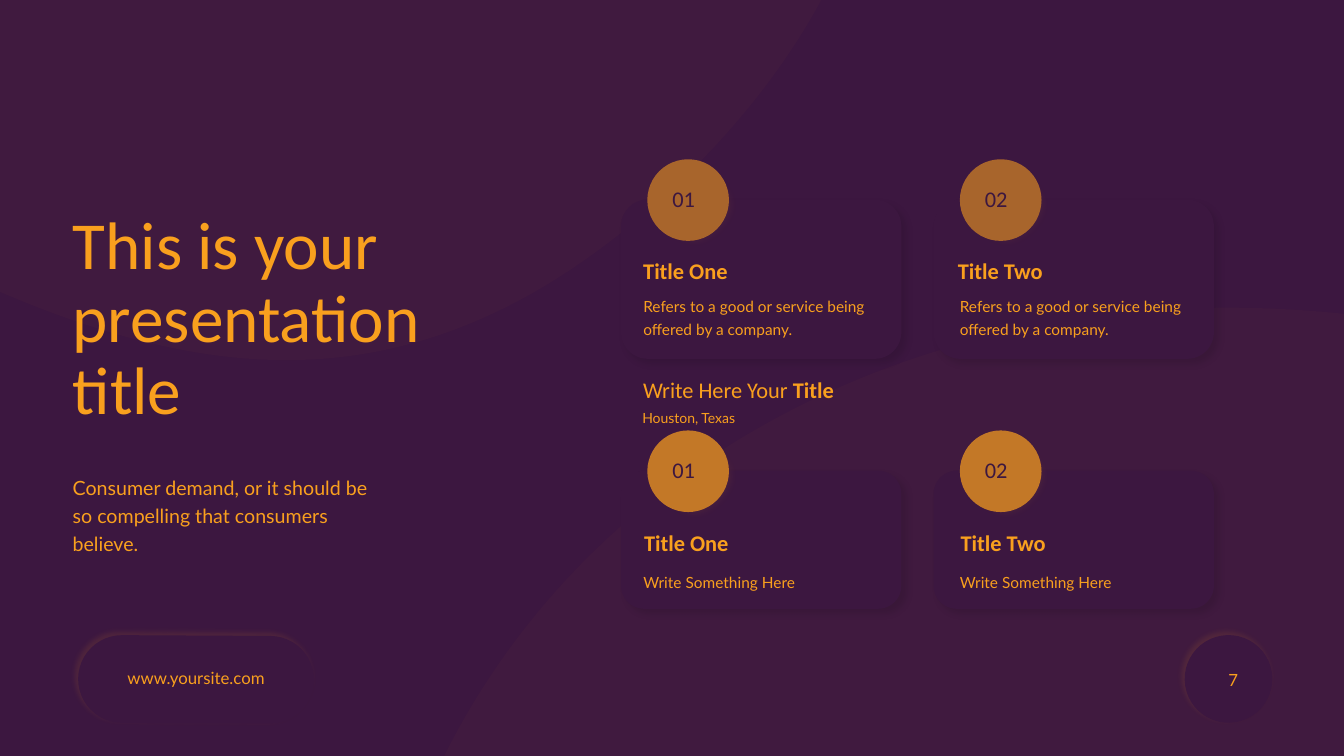
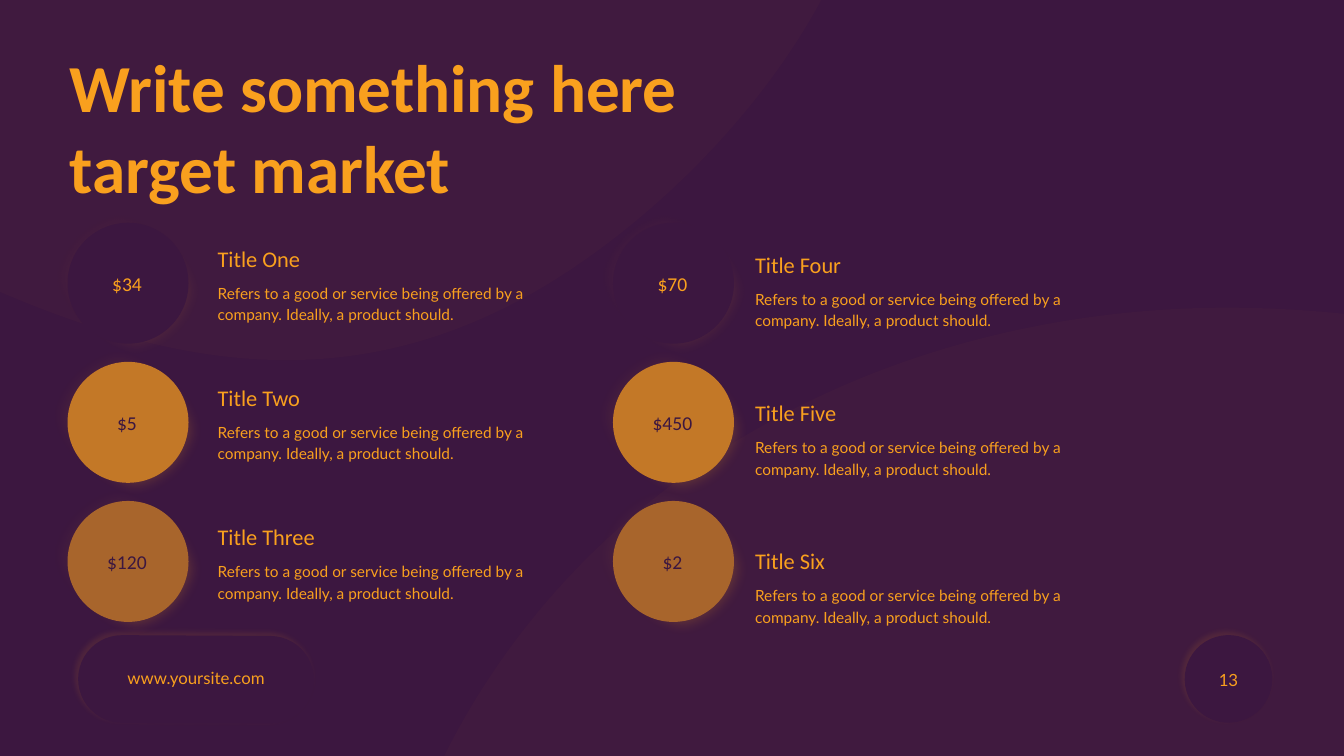
from lxml import etree
from pptx import Presentation
from pptx.dml.color import RGBColor
from pptx.enum import shapes, text
from pptx.oxml import ns
from pptx.util import Inches, Pt

PLUM = RGBColor(0x3C, 0x17, 0x40)
GOLD = RGBColor(0xF9, 0xA0, 0x1E)
AMBER = RGBColor(0xC3, 0x78, 0x27)
RUST = RGBColor(0xA8, 0x65, 0x2C)
BLACK = RGBColor(0, 0, 0)
HEAD, BODY = "Calibri", "Lato"
OVAL = shapes.MSO_SHAPE.OVAL
ROUND = shapes.MSO_SHAPE.ROUNDED_RECTANGLE
LEFT, MID, RIGHT = text.PP_ALIGN.LEFT, text.PP_ALIGN.CENTER, text.PP_ALIGN.RIGHT
NONE, WIDE, SLIM = (0, 0), (0.1, 0.05), (0.09, 0.04)

TOP_WAVE = [
    (8.52, -2.22),
    (9.06, -0.6), (7.17, 1.84), (5.26, 2.92),
    (3.34, 3.99), (1.41, 3.72), (-1.24, 2.29),
    (-3.9, 0.88), (-7.27, -1.7), (-6.83, -3.2),
    (-6.41, -4.7), (-2.16, -5.1), (1.44, -4.9),
    (5.04, -4.68), (7.99, -3.85), (8.52, -2.22),
]
LOW_WAVE = [
    (19.8, 6.97),
    (20.57, 9.45), (18.28, 12.8), (15.15, 15.1),
    (12.02, 17.4), (8.06, 18.62), (5.77, 17.07),
    (3.5, 15.52), (2.92, 11.2), (4.13, 8.12),
    (5.34, 5.04), (8.36, 3.2), (11.78, 3.06),
    (15.2, 2.93), (19.04, 4.51), (19.8, 6.97),
]


def box(*sizes):
    """Turn inches into lengths."""
    return [Inches(n) for n in sizes]


def add(node, name, **attrs):
    """Append a drawing element with attributes."""
    child = etree.SubElement(node, ns.qn("a:" + name))
    for key, val in attrs.items():
        child.set(key, str(val))
    return child


def paint(shape, color, alpha=100):
    """Give a shape a flat fill with no line or shadow."""
    shape.fill.solid()
    shape.fill.fore_color.rgb = color
    shape.line.fill.background()
    shape.shadow.inherit = False
    if alpha < 100:
        hue = shape.element.spPr.find(".//" + ns.qn("a:srgbClr"))
        add(hue, "alpha", val=alpha * 1000)
    return shape


def effect(shape, name, **attrs):
    """Add one effect to a painted shape."""
    return add(shape.element.spPr.find(ns.qn("a:effectLst")), name, **attrs)


def shade(shape, color, blur, dist, angle):
    """Cast a faint outer shadow."""
    node = effect(shape, "outerShdw", blurRad=Pt(blur), dist=Pt(dist),
                  dir=angle * 60000, algn="ctr", rotWithShape=0)
    add(add(node, "srgbClr", val=color), "alpha", val=10000)


def panel(slide, x, y, w, h, curve=None):
    """Draw a rounded plum panel."""
    plate = paint(slide.shapes.add_shape(ROUND, *box(x, y, w, h)), PLUM)
    if curve:
        plate.adjustments[0] = curve
    return plate


def disc(slide, x, y, size, color, alpha=100):
    """Draw a circle, soft at the edge when see-through."""
    dot = slide.shapes.add_shape(OVAL, *box(x, y, size, size))
    paint(dot, color, alpha)
    if alpha < 100:
        effect(dot, "softEdge", rad=Pt(10))
    return dot


def style(run, size, font, color, bold):
    """Set the look of a run."""
    run.font.size, run.font.name = Pt(size), font
    run.font.color.rgb, run.font.bold = color, bold


def write(shape, words, size, font=HEAD, color=GOLD, bold=False, align=LEFT,
          lead=None, inset=WIDE, wrap=True, anchor=text.MSO_ANCHOR.TOP):
    """Fill a shape with text in one style."""
    frame = shape.text_frame
    frame.text = words
    frame.word_wrap = wrap
    frame.auto_size = text.MSO_AUTO_SIZE.NONE
    frame.vertical_anchor = anchor
    frame.margin_left = frame.margin_right = Inches(inset[0])
    frame.margin_top = frame.margin_bottom = Inches(inset[1])
    for para in frame.paragraphs:
        para.alignment = align
        para.space_before = Pt(0)
        if lead:
            para.line_spacing = lead
        for run in para.runs:
            style(run, size, font, color, bold)
    return frame


def label(slide, x, y, w, h, words, size, **look):
    """Add a text box."""
    return write(slide.shapes.add_textbox(*box(x, y, w, h)), words, size, **look)


def place(shape, x, y, w, h):
    """Move a placeholder."""
    shape.left, shape.top, shape.width, shape.height = box(x, y, w, h)
    return shape


def wave(slide, x, y, w, h, pts):
    """Draw a closed outline of cubic curves within a box."""
    pen = slide.shapes.build_freeform(*box(x, y))
    pen.add_line_segments([box(x + w, y + h)], close=True)
    shape = pen.convert_to_shape()
    trace = shape.element.spPr.find(".//" + ns.qn("a:path"))
    for old in list(trace):
        trace.remove(old)
    spots = [box(a - x, b - y) for a, b in pts]
    add(add(trace, "moveTo"), "pt", x=spots[0][0], y=spots[0][1])
    for i in range(1, len(spots), 3):
        curve = add(trace, "cubicBezTo")
        for a, b in spots[i:i + 3]:
            add(curve, "pt", x=a, y=b)
    add(trace, "close")
    paint(shape, AMBER, 3)


def dress(deck, slide):
    """Put the waves and the footer on the master."""
    master = deck.slide_master
    master.background.fill.solid()
    master.background.fill.fore_color.rgb = PLUM
    kept = len(slide.shapes)
    wave(slide, -6.88, -4.95, 15.49, 8.52, TOP_WAVE)
    wave(slide, 3.51, 3.05, 16.43, 14.71, LOW_WAVE)
    ring = disc(slide, 11.75, 6.3, 0.87, PLUM)
    ring.rotation = 245.8
    pill = panel(slide, 1.51, 5.57, 0.87, 2.34, 0.5)
    pill.rotation = 270.3
    for shape in (ring, pill):
        shade(shape, GOLD, 4, 3, 225)
    label(slide, 1.15, 6.58, 1.59, 0.3, "www.yoursite.com", 12, font=BODY,
          align=MID, wrap=False)
    for i, part in enumerate(list(slide.shapes)[kept:]):
        part.element.xpath(".//p:cNvPr")[0].set("id", str(100 + i))
        master.shapes.element.append(part.element)


def number(slide, words):
    """Write the page number in the footer circle."""
    label(slide, 9.38, 6.54, 3, 0.4, words, 12, font=BODY, align=RIGHT,
          anchor=text.MSO_ANCHOR.MIDDLE)


def card(slide, x, y, h, color, num):
    """Draw a card with a numbered circle on its top edge."""
    shade(panel(slide, x, y, 2.78, h), BLACK, 5, 5, 45)
    panel(slide, x + 0.11, y + 0.07, 2.56, h - 0.15, 0.11)
    disc(slide, x + 0.26, y - 0.41, 0.93, color, 40)
    disc(slide, x + 0.26, y - 0.4, 0.81, color)
    disc(slide, x + 0.36, y - 0.3, 0.61, color)
    label(slide, x + 0.41, y - 0.19, 0.48, 0.37, num, 16, color=PLUM)


def cards(deck):
    """Build the slide with the four cards."""
    slide = deck.slides.add_slide(deck.slide_layouts[1])
    dress(deck, slide)
    title = place(slide.shapes.title, 0.72, 2.1, 4.56, 2.08)
    write(title, "This is your presentation\ntitle", 48, lead=0.9, inset=NONE)
    body = place(slide.placeholders[1], 0.72, 4.67, 4.33, 0.82)
    lines = "Consumer demand, or it should be\vso compelling that consumers\vbelieve."
    write(body, lines, 14, font=BODY, lead=1.2, inset=NONE)
    props = body.element.find(".//" + ns.qn("a:pPr"))
    props.set("marL", "0")
    props.set("indent", "0")
    add(props, "buNone")

    cols = [(6.16, "01", "Title One", 6.38, 6.29), (9.26, "02", "Title Two", 9.5, 9.43)]
    pitch = "Refers to a good or service being offered by a company."
    for x, num, head, left, edge in cols:
        card(slide, x, 1.98, 1.58, RUST, num)
        label(slide, left, 2.55, 2.1, 0.27, head, 16, bold=True, inset=NONE)
        label(slide, edge, 2.87, 2.53, 0.51, pitch, 11, font=BODY, lead=Pt(16.1), inset=SLIM)
        card(slide, x, 4.67, 1.37, AMBER, num)
        label(slide, edge, 5.2, 1.49, 0.37, head, 16, bold=True)
        label(slide, edge, 5.61, 2.04, 0.29, "Write Something Here", 11,
              font=BODY, lead=Pt(16.1), inset=SLIM)
    frame = label(slide, 6.28, 3.68, 2.77, 0.37, "Write Here Your ", 16)
    run = frame.paragraphs[0].add_run()
    run.text = "Title"
    style(run, 16, HEAD, GOLD, True)
    label(slide, 6.28, 3.97, 1.49, 0.29, "Houston, Texas", 10, font=BODY,
          lead=Pt(16.1), inset=SLIM)
    number(slide, "7")


def price(slide, x, y, color, ink, glow, near, far, words):
    """Draw a price circle with two halos."""
    disc(slide, x - 0.01, y - 0.01, 1.38, glow, near)
    disc(slide, x - 0.2, y - 0.17, 1.42, glow, far)
    disc(slide, x, y, 1.2, color)
    disc(slide, x + 0.18, y + 0.18, 0.84, color)
    label(slide, x + 0.24, y + 0.44, 0.7, 0.34, words, 14, color=ink,
          align=MID, wrap=False)


def item(slide, x, y, head):
    """Write a heading with its note."""
    label(slide, x, y, 2.02, 0.37, head, 16)
    note = "Refers to a good or service being offered by a company. Ideally, a product should."
    label(slide, x, y + 0.36, 3.69, 0.5, note, 11, font=BODY, lead=Pt(15.3))


def market(deck):
    """Build the slide with the six prices."""
    slide = deck.slides.add_slide(deck.slide_layouts[5])
    title = place(slide.shapes.title, 0.69, 0.45, 8.98, 1.62)
    write(title, "Write something here\vtarget market", 48, bold=True, inset=NONE)
    looks = [
        (PLUM, GOLD, GOLD, 10, 4),
        (AMBER, PLUM, AMBER, 30, 10),
        (RUST, PLUM, RUST, 40, 10),
    ]
    cols = [
        (0.67, 2.06, 2.38, 1.38,
         [("$34", "Title One"), ("$5", "Title Two"), ("$120", "Title Three")]),
        (6.08, 7.39, 2.44, 1.47,
         [("$70", "Title Four"), ("$450", "Title Five"), ("$2", "Title Six")]),
    ]
    for x, left, top, step, cells in cols:
        for i, (cost, head) in enumerate(cells):
            price(slide, x, 2.21 + 1.38 * i, *looks[i], cost)
            item(slide, left, top + step * i, head)
    number(slide, "13")


def main():
    """Build and save the deck."""
    deck = Presentation()
    deck.slide_width, deck.slide_height = box(13.33, 7.5)
    cards(deck)
    market(deck)
    deck.save("out.pptx")


if __name__ == "__main__":
    main()
